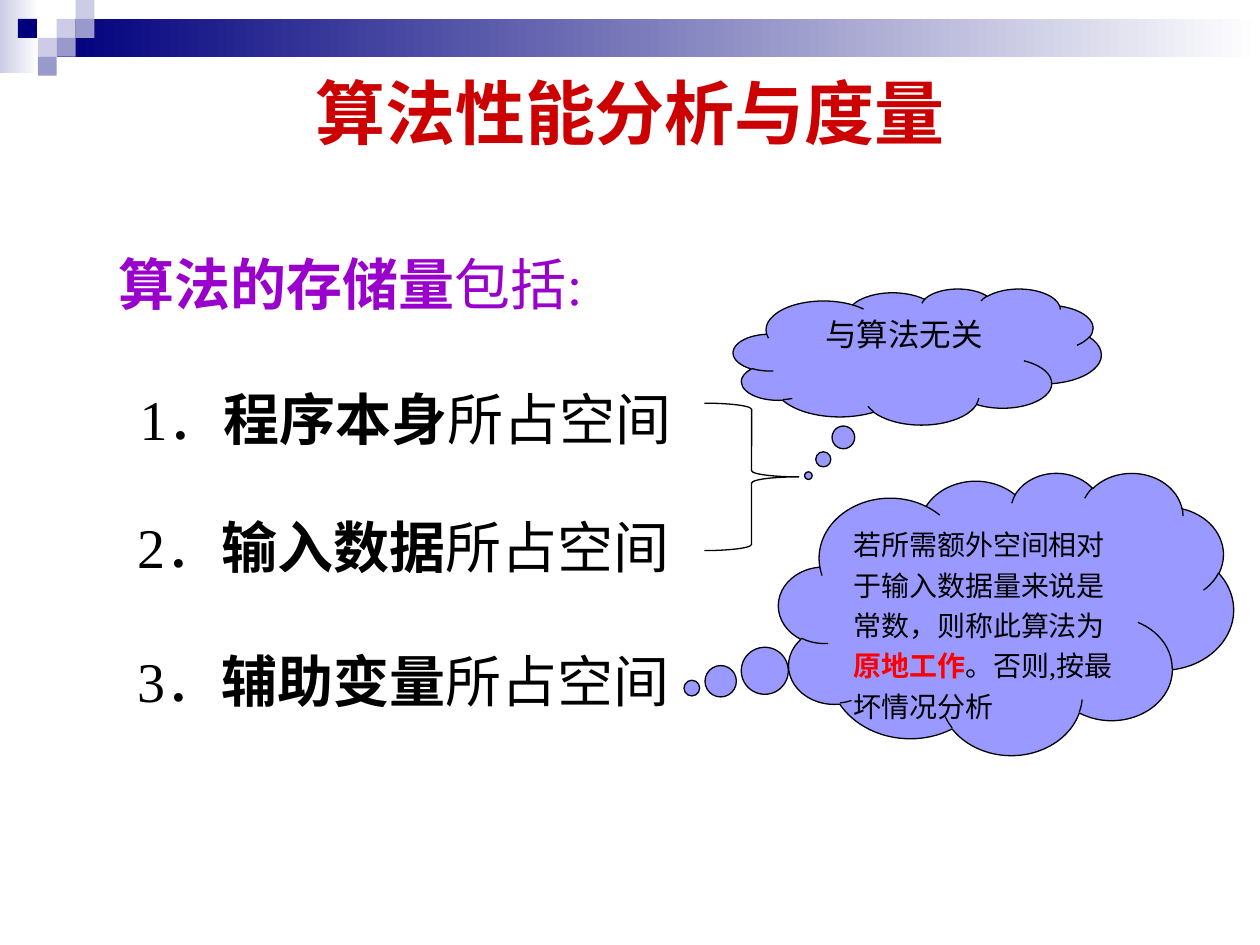
from pptx import Presentation
from pptx import util as u
from pptx.dml import color
from pptx.enum import shapes, text

KIND = shapes.MSO_SHAPE
ALIGN = text.PP_ALIGN
SERIF, SANS = "Times New Roman", "Arial"
NAVY, MID, PALE, WHITE = "00007D", "9999CC", "CCCCE6", "FFFFFF"
BLACK, RED, CRIMSON, PURPLE, CLOUD = "000000", "FF0000", "CC0000", "9900CC", "9999FF"


def rgb(code):
    return color.RGBColor.from_string(code)


def apply(item, **values):
    for name, value in values.items():
        setattr(item, name, value)


class Deck:
    """Holds the text style and the current slide."""

    def __init__(self, slide, font=SERIF, size=32, ink=BLACK):
        self.slide = slide
        self.font, self.size, self.ink = font, size, ink

    def words(self, frame, runs, align=ALIGN.LEFT, space=1.0, **style):
        """Fill a frame with one paragraph of (text, changes) runs."""
        para = frame.paragraphs[0]
        apply(para, alignment=align, line_spacing=space)
        base = {"name": self.font, "size": self.size, "bold": False,
                "ink": self.ink, **style}
        for part, change in runs:
            run = para.add_run()
            run.text = part
            look = {**base, **change}
            run.font.color.rgb = rgb(look.pop("ink"))
            look["size"] = u.Pt(look["size"])
            apply(run.font, **look)

    def label(self, box, runs, wrap=False, **style):
        frame = self.slide.shapes.add_textbox(*map(u.Inches, box)).text_frame
        fit = text.MSO_AUTO_SIZE
        apply(frame, word_wrap=wrap,
              auto_size=fit.NONE if wrap else fit.SHAPE_TO_FIT_TEXT)
        self.words(frame, runs, **style)

    def shape(self, kind, box, fill=None, line=None, adjust=()):
        """Draw a preset; a pair of fill colours makes a gradient."""
        item = self.slide.shapes.add_shape(kind, *map(u.Inches, box))
        item.shadow.inherit = False
        for spot, value in enumerate(adjust):
            item.adjustments[spot] = value
        if fill is None:
            item.fill.background()
        elif isinstance(fill, tuple):
            item.fill.gradient()
            item.fill.gradient_angle = 0
            for stop, code, place in zip(item.fill.gradient_stops, fill, (0, 1)):
                apply(stop, position=place)
                stop.color.rgb = rgb(code)
        else:
            item.fill.solid()
            item.fill.fore_color.rgb = rgb(fill)
        if line:
            item.line.color.rgb = rgb(line)
            item.line.width = u.Pt(0.75)
        else:
            item.line.fill.background()
        return item

    def cloud(self, box, tail, runs, **style):
        item = self.shape(KIND.CLOUD_CALLOUT, box, CLOUD, BLACK, tail)
        frame = item.text_frame
        apply(frame, word_wrap=True, vertical_anchor=text.MSO_ANCHOR.TOP)
        self.words(frame, runs, **style)


def main():
    prs = Presentation()
    apply(prs, slide_width=u.Inches(10), slide_height=u.Inches(7.5))
    deck = Deck(prs.slides.add_slide(prs.slide_layouts[6]))

    deck.shape(KIND.RECTANGLE, (0, 0, 0.31, 0.58), (PALE, WHITE))
    deck.shape(KIND.RECTANGLE, (0.45, 0.15, 9.55, 0.3), (NAVY, WHITE))
    tile = 0.15
    tiles = [(3, 1, PALE), (4, 0, PALE), (4, 1, MID), (2, 2, PALE),
             (0.95, 1, NAVY), (3, 2, MID), (2, 3, MID)]
    for col, row, fill in tiles:
        deck.shape(KIND.RECTANGLE, (col * tile, row * tile, tile, tile), fill)

    bold = {"bold": True}
    deck.label((0.84, 1.93, 3.99, 0.64),
               [("算法的存储量", bold), ("包括:", {})], ink=PURPLE)
    items = [(1.01, 3, "程序本身"), (0.99, 4.02, "输入数据"), (0.99, 5.08, "辅助变量")]
    for num, (left, top, name) in enumerate(items, 1):
        deck.label((left, top, 4.53, 0.64),
                   [(f"{num}．", {}), (name, bold), ("所占空间", {})])

    deck.cloud((5.82, 2.29, 2.92, 1.08), (-0.296, 0.875),
               [("与算法无关", {})], align=ALIGN.CENTER, name=SANS, size=18)
    deck.shape(KIND.RIGHT_BRACE, (5.59, 3.2, 0.75, 1.17),
               line=BLACK, adjust=(0.065, 0.5))
    deck.cloud((6.18, 3.75, 3.61, 2.24), (-0.691, 0.264),
               [("若所需额外空间相对于输入数据量来说是常数，则称此算法为", {}),
                ("原地工作", {"bold": True, "ink": RED}),
                ("。否则,按最坏情况分析", {})], space=1.2, size=16)
    deck.label((0.5, 0.5, 9, 1.16), [("算法性能分析与度量", bold)], wrap=True,
               align=ALIGN.CENTER, name=SANS, size=40, ink=CRIMSON)

    prs.save("out.pptx")


if __name__ == "__main__":
    main()
